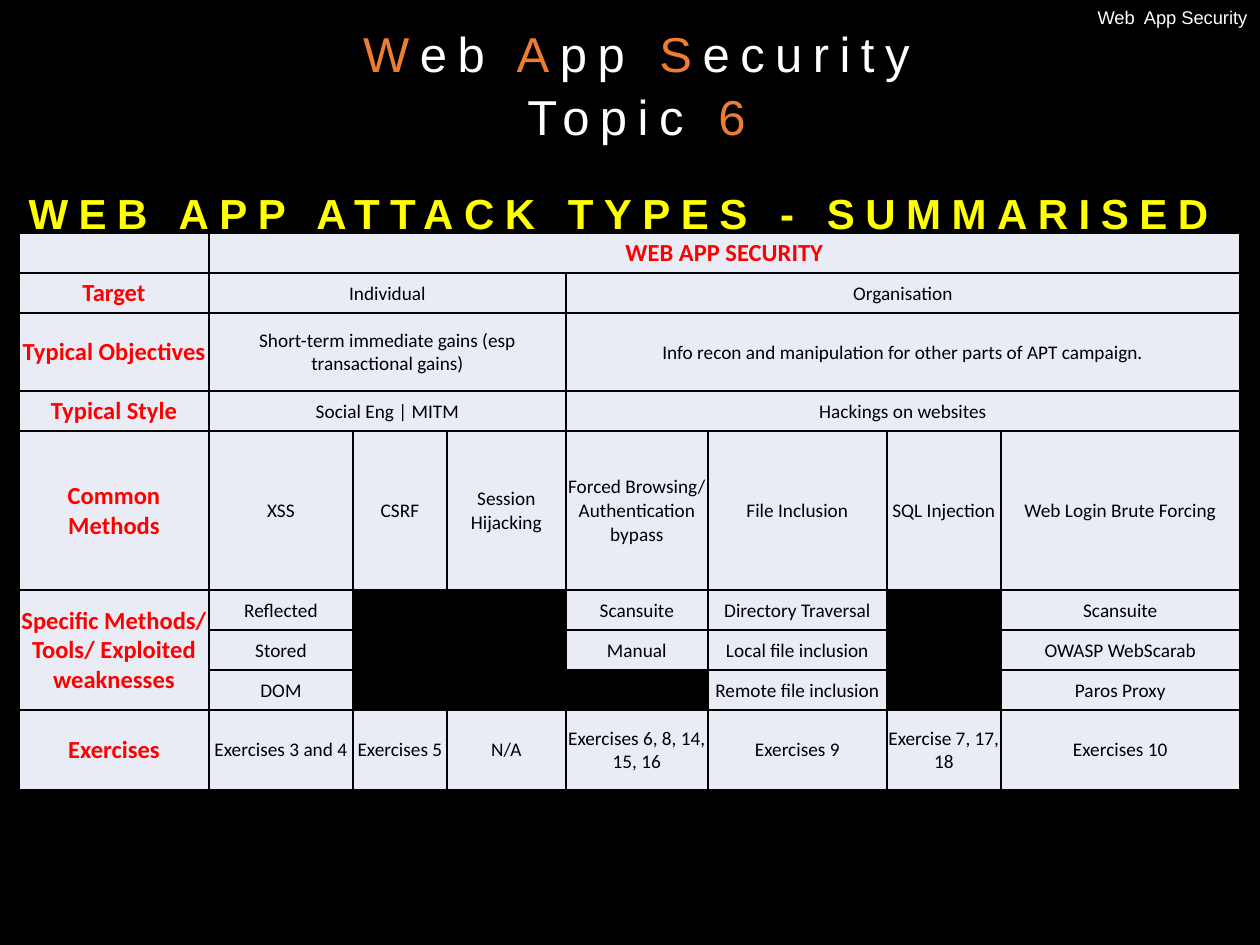
from dataclasses import dataclass
from lxml import etree
from pptx import Presentation, util as u
from pptx.dml.color import RGBColor
from pptx.enum import text as t
from pptx.oxml.ns import qn


@dataclass(frozen=True)
class Theme:
    back: str = "000000"
    ink: str = "000000"
    cell: str = "E9EBF5"
    head: str = "FF0000"
    white: str = "FFFFFF"
    orange: str = "ED7D31"
    yellow: str = "FFFF00"
    sans: str = "Arial"
    body: str = "Calibri"
    tag: float = 10.5
    title: int = 28
    sub: int = 24
    label: int = 14
    text: int = 11
    gap: int = 6
    lead: float = 1.07


T = Theme()
TAG = "Web  App Security"
TITLE = [
    [("W", T.orange), ("eb", T.white), (" A", T.orange), ("pp", T.white),
     (" S", T.orange), ("ecurity", T.white)],
    [("Topic ", T.white), ("6", T.orange)],
]
SUB = "WEB APP ATTACK TYPES - SUMMARISED "

# "<" joins the cell on the left, "^" joins the cell above, "#" is blacked out
GRID = [
    ["", "WEB APP SECURITY", "<", "<", "<", "<", "<", "<"],
    ["Target", "Individual", "<", "<", "Organisation", "<", "<", "<"],
    ["Typical Objectives", "Short-term immediate gains (esp transactional gains)", "<", "<",
     "Info recon and manipulation for other parts of APT campaign.", "<", "<", "<"],
    ["Typical Style", "Social Eng | MITM", "<", "<", "Hackings on websites", "<", "<", "<"],
    ["Common Methods", "XSS", "CSRF", "Session Hijacking",
     "Forced Browsing/ Authentication bypass", "File Inclusion", "SQL Injection",
     "Web Login Brute Forcing"],
    ["Specific Methods/ Tools/ Exploited weaknesses", "Reflected", "#", "#",
     "Scansuite", "Directory Traversal", "#", "Scansuite"],
    ["^", "Stored", "^", "^", "Manual", "Local file inclusion", "^", "OWASP WebScarab"],
    ["^", "DOM", "^", "^", "#", "Remote file inclusion", "^", "Paros Proxy"],
    ["Exercises", "Exercises 3 and 4", "Exercises 5", "N/A", "Exercises 6, 8, 14, 15, 16",
     "Exercises 9", "Exercise 7, 17, 18", "Exercises 10"],
]
COLS = [190, 144, 94, 119, 142, 179, 114, 239]
ROWS = [40, 40, 78, 40, 159, 40, 40, 40, 80]


def px(n):
    return round(n * 914400 / 126)


def rgb(code):
    return RGBColor.from_string(code)


def write(par, text, size, color, face, bold=False, gap=0):
    run = par.add_run()
    run.text = text
    font = run.font
    font.size, font.name, font.bold = u.Pt(size), face, bold
    font.color.rgb = rgb(color)
    if gap:
        font._element.set("spc", str(gap * 100))


def frame(shape, align, lead=None):
    """Set up the text frame and return its first paragraph."""
    box = shape.text_frame
    box.word_wrap = True
    box.auto_size = t.MSO_AUTO_SIZE.NONE
    box.vertical_anchor = t.MSO_ANCHOR.TOP
    par = box.paragraphs[0]
    par.alignment, par.line_spacing = align, lead
    return par


def edge(cell):
    """Draw a 1 pt line on all four sides."""
    props = cell._tc.get_or_add_tcPr()
    for side in ("lnL", "lnR", "lnT", "lnB"):
        line = etree.SubElement(props, qn("a:" + side), w=str(u.Pt(1)))
        fill = etree.SubElement(line, qn("a:solidFill"))
        etree.SubElement(fill, qn("a:srgbClr"), val=T.back)


def count(marks, sign):
    """Count how many marks in a row match the sign from the start."""
    n = 0
    while n < len(marks) and marks[n] == sign:
        n += 1
    return n


def add_grid(slide):
    table = slide.shapes.add_table(len(ROWS), len(COLS), px(19), px(233),
                                   px(sum(COLS)), px(sum(ROWS))).table
    table.first_row = table.horz_banding = False
    for col, wide in zip(table.columns, COLS):
        col.width = px(wide)
    for row, high in zip(table.rows, ROWS):
        row.height = px(high)
    for r, line in enumerate(GRID):
        for c, text in enumerate(line):
            cell = table.cell(r, c)
            cell.margin_left = cell.margin_right = cell.margin_top = px(1)
            cell.margin_bottom = 0
            cell.vertical_anchor = t.MSO_ANCHOR.MIDDLE
            edge(cell)
            root = text
            if text == "^":
                root = next(GRID[k][c] for k in range(r, -1, -1) if GRID[k][c] != "^")
            cell.fill.solid()
            cell.fill.fore_color.rgb = rgb(T.back if root == "#" else T.cell)
            if text in ("<", "^"):
                continue
            right = count(line[c + 1:], "<")
            down = count([below[c] for below in GRID[r + 1:]], "^")
            if right or down:
                cell.merge(table.cell(r + down, c + right))
            if text in ("", "#"):
                continue
            par = cell.text_frame.paragraphs[0]
            par.alignment = t.PP_ALIGN.CENTER
            if r == 0 or c == 0:
                write(par, text, T.label, T.head, T.body, bold=True)
            else:
                write(par, text, T.text, T.ink, T.body)


def main():
    deck = Presentation()
    deck.slide_width, deck.slide_height = px(1260), px(945)
    slide = deck.slides.add_slide(deck.slide_layouts[5])
    slide.background.fill.solid()
    slide.background.fill.fore_color.rgb = rgb(T.back)

    tag = slide.shapes.add_textbox(px(847), 0, px(413), px(35))
    write(frame(tag, t.PP_ALIGN.RIGHT), TAG, T.tag, T.white, T.sans)

    title = slide.shapes.title
    title.left, title.top, title.width, title.height = px(0), px(13), px(1273), px(173)
    par = frame(title, t.PP_ALIGN.CENTER, T.lead)
    for i, line in enumerate(TITLE):
        if i:
            par = title.text_frame.add_paragraph()
            par.alignment, par.line_spacing = t.PP_ALIGN.CENTER, T.lead
        for text, color in line:
            write(par, text, T.title, color, T.sans, gap=T.gap)

    add_grid(slide)

    sub = slide.shapes.add_textbox(0, px(178), px(1260), px(55))
    write(frame(sub, t.PP_ALIGN.CENTER, T.lead), SUB, T.sub, T.yellow, T.sans,
          bold=True, gap=T.gap)
    deck.save("out.pptx")


if __name__ == "__main__":
    main()
